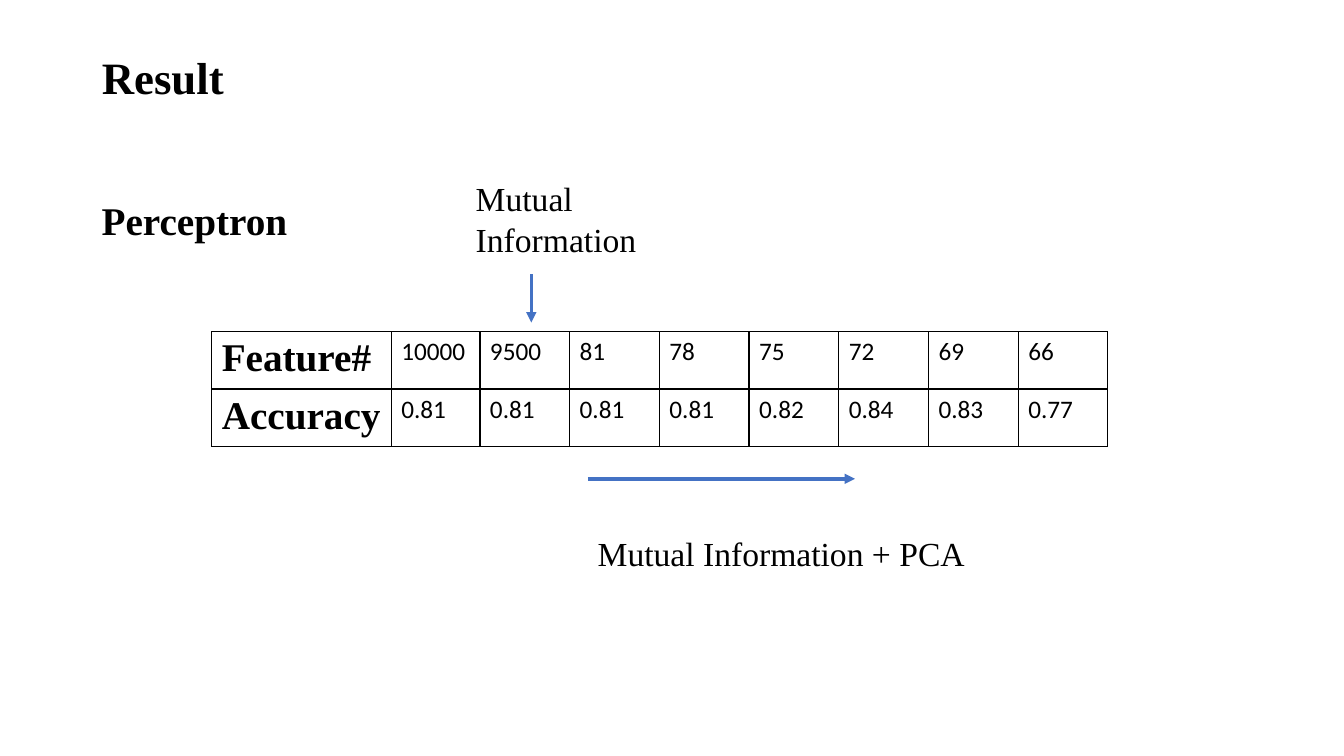
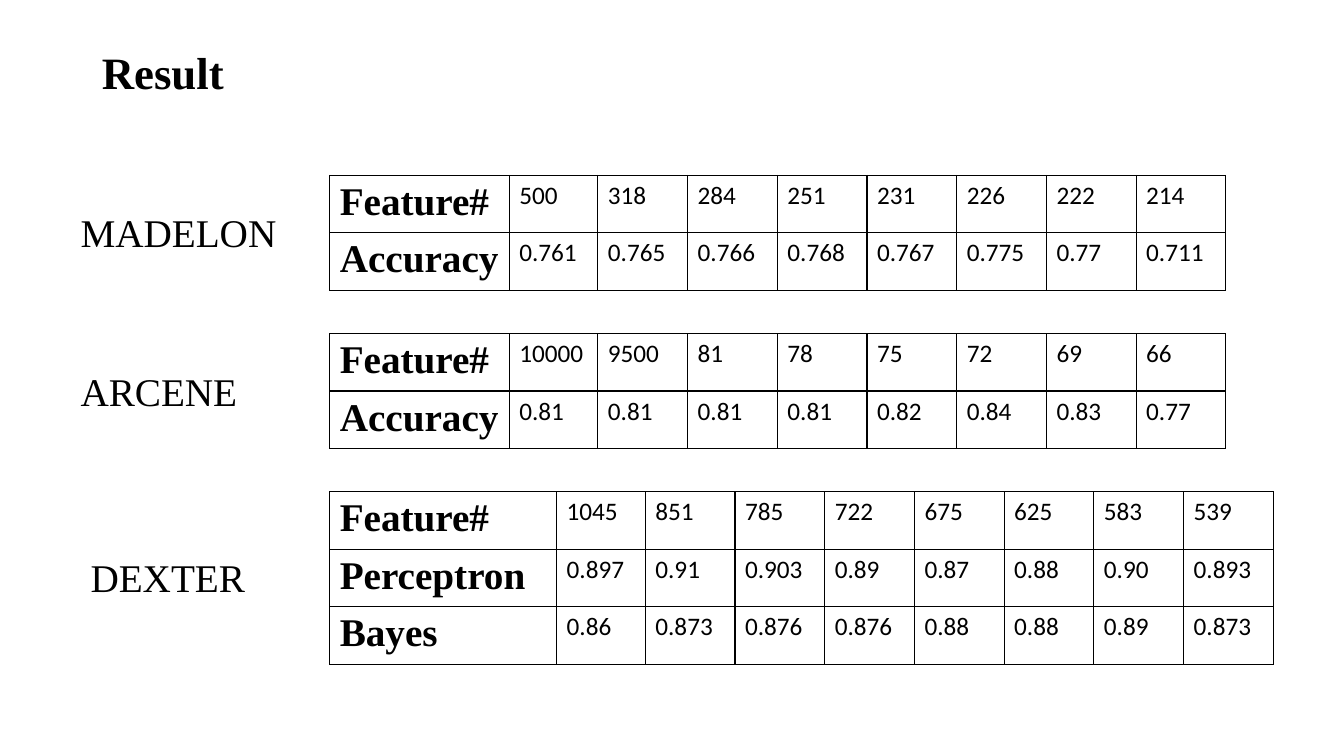
from lxml.etree import SubElement
from pptx import Presentation
from pptx.dml.color import RGBColor
from pptx.enum.shapes import MSO_CONNECTOR
from pptx.enum.text import MSO_ANCHOR, PP_ALIGN
from pptx.oxml import parse_xml
from pptx.oxml.ns import nsdecls, qn
from pptx.util import Inches, Pt

COLORS = {"text": "000000", "border": "000000", "arrow": "4472C4"}
SERIF, SANS = "Times New Roman", "Calibri"
ROW_H, FIRST_COL_W, COL_W = 0.57, 0.88, 0.89

ARCENE = [
    ["Feature#", "10000", "9500", "81", "78", "75", "72", "69", "66"],
    ["Accuracy", "0.81", "0.81", "0.81", "0.81", "0.82", "0.84", "0.83", "0.77"],
]
MADELON = [
    ["Feature#", "500", "318", "284", "251", "231", "226", "222", "214"],
    ["Accuracy", "0.761", "0.765", "0.766", "0.768", "0.767", "0.775", "0.77", "0.711"],
]
DEXTER = [
    ["Feature#", "1045", "851", "785", "722", "675", "625", "583", "539"],
    ["Perceptron", "0.897", "0.91", "0.903", "0.89", "0.87", "0.88", "0.90", "0.893"],
    ["Bayes", "0.86", "0.873", "0.876", "0.876", "0.88", "0.88", "0.89", "0.873"],
]


def write(tf, text, size, bold=False, name=SERIF):
    """Put one left-aligned paragraph into a text frame."""
    tf.word_wrap = True
    p = tf.paragraphs[0]
    p.text = text
    p.alignment = PP_ALIGN.LEFT
    p.font.size, p.font.bold, p.font.name = Pt(size), bold, name
    p.font.color.rgb = RGBColor.from_string(COLORS["text"])


def add_grid(s, left, top, label_w, rows):
    """Add a black-ruled table whose first column holds bold row labels."""
    widths = [label_w, FIRST_COL_W] + [COL_W] * (len(rows[0]) - 2)
    table = s.shapes.add_table(
        len(rows), len(widths), Inches(left), Inches(top),
        Inches(sum(widths)), Inches(ROW_H * len(rows))).table
    table.first_row = table.horz_banding = False
    for col, width in zip(table.columns, widths):
        col.width = Inches(width)
    for i, row in enumerate(rows):
        for j, text in enumerate(row):
            cell = table.cell(i, j)
            if j == 0:
                write(cell.text_frame, text, 28, bold=True)
            else:
                write(cell.text_frame, text, 18, name=SANS)
            tcPr = cell._tc.get_or_add_tcPr()
            for side in ("lnL", "lnR", "lnT", "lnB"):
                tcPr.append(parse_xml(
                    f'<a:{side} {nsdecls("a")} w="{Pt(1)}"><a:solidFill>'
                    f'<a:srgbClr val="{COLORS["border"]}"/></a:solidFill></a:{side}>'))
            cell.fill.background()


prs = Presentation()
prs.slide_width, prs.slide_height = Inches(13.33), Inches(7.5)

slides = []
for title_top in (0.44, 0.39):
    s = prs.slides.add_slide(prs.slide_layouts[5])
    title = s.shapes.title
    title.left, title.top = Inches(0.91), Inches(title_top)
    title.width, title.height = Inches(4.36), Inches(0.64)
    write(title.text_frame, "Result", 32, bold=True)
    title.text_frame.vertical_anchor = MSO_ANCHOR.TOP
    slides.append(s)
perceptron, datasets = slides

# Text labels of both slides
for s, text, left, top, width, height, size, bold in (
    (perceptron, "Perceptron", 0.91, 1.9, 2.38, 0.57, 28, True),
    (perceptron, "Mutual Information", 4.62, 1.72, 2.09, 0.91, 24, False),
    (perceptron, "Mutual Information + PCA", 5.83, 5.24, 4.54, 0.5, 24, False),
    (datasets, "MADELON", 0.7, 2.02, 2.39, 0.57, 28, False),
    (datasets, "ARCENE", 0.7, 3.59, 2.39, 0.57, 28, False),
    (datasets, "DEXTER", 0.8, 5.44, 2.39, 0.57, 28, False),
):
    box = s.shapes.add_textbox(Inches(left), Inches(top), Inches(width), Inches(height))
    write(box.text_frame, text, size, bold)

# Tables
add_grid(perceptron, 2.1, 3.29, 1.78, ARCENE)
for top, label_w, rows in ((1.74, 1.78, MADELON), (3.31, 1.78, ARCENE), (4.88, 2.25, DEXTER)):
    add_grid(datasets, 3.27, top, label_w, rows)

# Arrows linking the method names to the table columns
for x1, y1, x2, y2 in ((5.27, 2.72, 5.27, 3.2), (5.83, 4.75, 8.48, 4.75)):
    arrow = perceptron.shapes.add_connector(
        MSO_CONNECTOR.STRAIGHT, Inches(x1), Inches(y1), Inches(x2), Inches(y2))
    arrow.line.width = Pt(2.5)
    arrow.line.color.rgb = RGBColor.from_string(COLORS["arrow"])
    SubElement(arrow.line._get_or_add_ln(), qn("a:tailEnd"), type="triangle")
    SubElement(arrow._element.spPr, qn("a:effectLst"))

prs.save("out.pptx")
